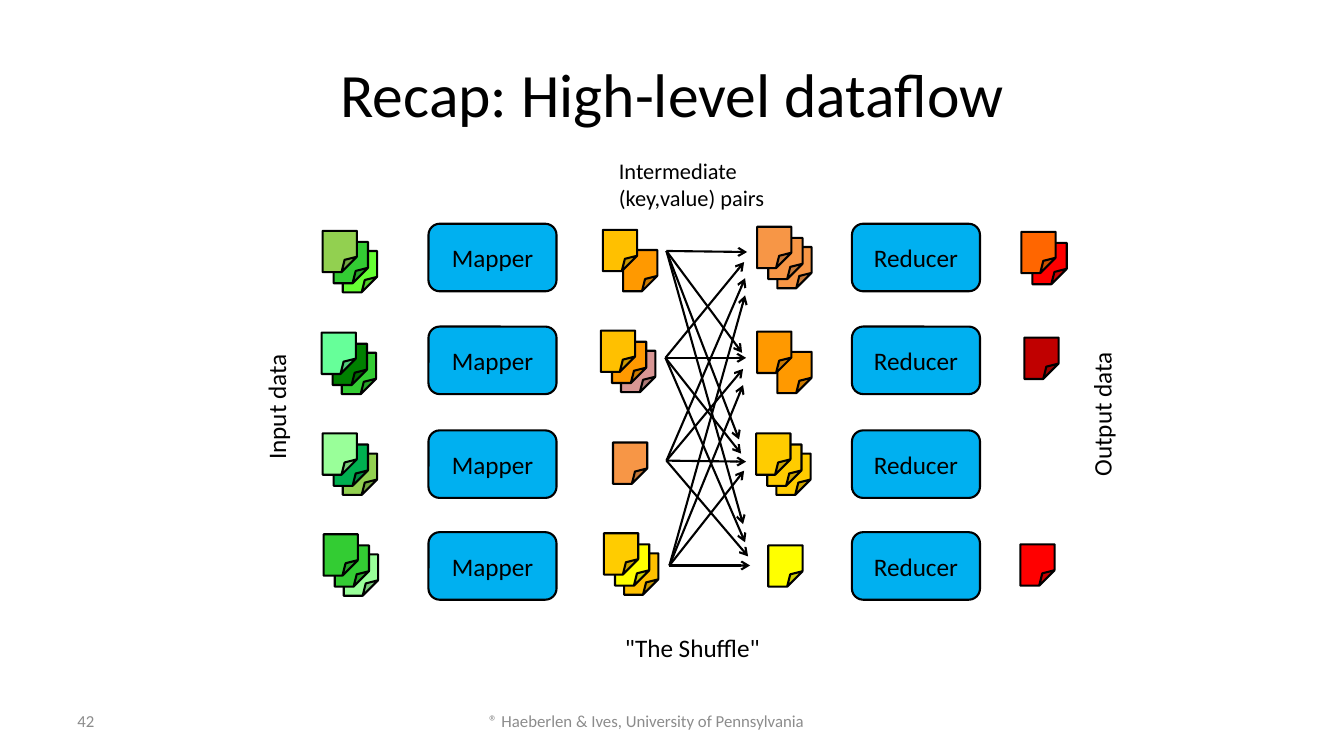
from lxml import etree
from pptx import Presentation
from pptx.dml.color import RGBColor
from pptx.enum.shapes import MSO_CONNECTOR as LINE, MSO_SHAPE as SHAPE
from pptx.enum.text import MSO_ANCHOR as ANCHOR, PP_ALIGN as ALIGN
from pptx.oxml.ns import qn
from pptx.util import Inches, Pt

FONT, BLACK, GREY, BLUE = "Calibri", "000000", "8C8C8C", "00B0F0"
STEPS = (0, 0.11, 0.2)  # offset of each sheet in a stack, front first

# Per row: left, top and sheet colours, front first; None leaves a gap
INPUTS = [
    (3.2, 2.29, ["92D050", "33CC33", "66FF33"]),
    (3.19, 3.3, ["66FF99", "008000", "33CC33"]),
    (3.2, 4.3, ["99FF99", "00B050", "92D050"]),
    (3.21, 5.3, ["33CC33", "33CC33", "99FF99"]),
]
PAIRS = [
    (5.98, 2.28, ["FFC000", None, "FF9900"]),
    (5.96, 3.28, ["FFC000", "FF9900", "D99694"]),
    (6.08, 4.39, ["F79646"]),
    (5.99, 5.29, ["FFCC00", "FFFF00", "FFC000"]),
]
GROUPS = [
    (7.51, 2.25, ["F79646"] * 3),
    (7.51, 3.29, ["FF9900", None, "FF9900"]),
    (7.5, 4.3, ["FFCC00"] * 3),
    (7.62, 5.41, ["FFFF00"]),
]
OUTPUTS = [
    (10.13, 2.3, ["FF6600", "FF0000"]),
    (10.16, 3.35, ["C00000"]),
    (10.12, 5.4, ["FF0000"]),
]
BOX_TOPS = (2.22, 3.24, 4.27, 5.28)

# Arrow starts per mapper, and arrow tips per reducer in mapper order
STARTS = [(6.61, 2.49), (6.6, 3.55), (6.61, 4.57), (6.64, 5.61)]
TIPS = [
    [(7.41, 2.5), (7.38, 2.6), (7.39, 2.76), (7.39, 2.93)],
    [(7.36, 3.5), (7.4, 3.55), (7.37, 3.66), (7.37, 3.82)],
    [(7.33, 4.36), (7.35, 4.5), (7.4, 4.58), (7.38, 4.67)],
    [(7.37, 5.2), (7.39, 5.38), (7.42, 5.52), (7.44, 5.61)],
]


def rgb(code):
    return RGBColor.from_string(code)


def write(frame, text, size, color=BLACK, align=ALIGN.LEFT):
    frame.text = text
    para = frame.paragraphs[0]
    para.alignment = align
    for run in para.runs:
        run.font.name = FONT
        run.font.size = Pt(size)
        run.font.color.rgb = rgb(color)


def label(slide, box, text, size, color=BLACK, align=ALIGN.LEFT,
          anchor=ANCHOR.TOP, wrap=False, turn=0):
    area = slide.shapes.add_textbox(*map(Inches, box))
    area.rotation = turn
    frame = area.text_frame
    frame.word_wrap = wrap
    frame.vertical_anchor = anchor
    write(frame, text, size, color, align)


def block(slide, kind, box, fill):
    """Add a filled shape with a black outline."""
    shape = slide.shapes.add_shape(kind, *map(Inches, box))
    shape.shadow.inherit = False
    shape.fill.solid()
    shape.fill.fore_color.rgb = rgb(fill)
    shape.line.color.rgb = rgb(BLACK)
    shape.line.width = Pt(1.5)
    return shape


def fold(sheet):
    """Enlarge the folded corner, which has no public adjustment."""
    guides = sheet._element.spPr.find(qn("a:prstGeom")).find(qn("a:avLst"))
    etree.SubElement(guides, qn("a:gd"), name="adj", fmla="val 44800")


def stack(slide, left, top, colors):
    """Pile up sheets of paper, the first colour in front."""
    for step, color in reversed(list(zip(STEPS, colors))):
        if color:
            box = (left + step, top + step, 0.34, 0.41)
            fold(block(slide, SHAPE.FOLDED_CORNER, box, color))


def column(slide, left, text):
    """Add one box per row."""
    for top in BOX_TOPS:
        box = block(slide, SHAPE.ROUNDED_RECTANGLE, (left, top, 1.27, 0.67), BLUE)
        box.text_frame.vertical_anchor = ANCHOR.MIDDLE
        write(box.text_frame, text, 18, align=ALIGN.CENTER)


def arrow(slide, start, tip):
    link = slide.shapes.add_connector(LINE.STRAIGHT, *map(Inches, start + tip))
    link.line.color.rgb = rgb(BLACK)
    link.line.width = Pt(1.5)
    props = link._element.spPr
    etree.SubElement(props.find(qn("a:ln")), qn("a:tailEnd"), type="arrow")
    etree.SubElement(props, qn("a:effectLst"))


def shuffle(slide):
    """Link every mapper to every reducer."""
    for tips in TIPS:
        for start, tip in zip(STARTS, tips):
            arrow(slide, start, tip)


def flow(slide):
    for left, top, colors in INPUTS + PAIRS + GROUPS + OUTPUTS:
        stack(slide, left, top, colors)
    column(slide, 4.25, "Mapper")
    column(slide, 8.45, "Reducer")
    shuffle(slide)
    label(slide, (2.11, 3.83, 1.26, 0.4), "Input data", 18, turn=270)
    label(slide, (10.2, 3.9, 1.45, 0.4), "Output data", 18, turn=270)
    label(slide, (6.1, 6.22, 1.56, 0.4), '"The Shuffle"', 18)
    label(slide, (6.04, 1.51, 1.66, 0.64), "Intermediate\v(key,value) pairs", 16)


def footer(slide):
    label(slide, (0.67, 6.95, 3.11, 0.4), "42", 12, GREY,
          anchor=ANCHOR.MIDDLE, wrap=True)
    label(slide, (4.31, 6.95, 4.21, 0.4),
          "® Haeberlen & Ives, University of Pennsylvania", 12, GREY,
          ALIGN.CENTER, ANCHOR.MIDDLE, True)


def main():
    deck = Presentation()
    deck.slide_width, deck.slide_height = Inches(13.33), Inches(7.5)
    slide = deck.slides.add_slide(deck.slide_layouts[6])
    label(slide, (0.67, 0.3, 12, 1.25), "Recap: High-level dataflow", 44,
          align=ALIGN.CENTER, anchor=ANCHOR.MIDDLE, wrap=True)
    flow(slide)
    footer(slide)
    deck.save("out.pptx")


if __name__ == "__main__":
    main()
